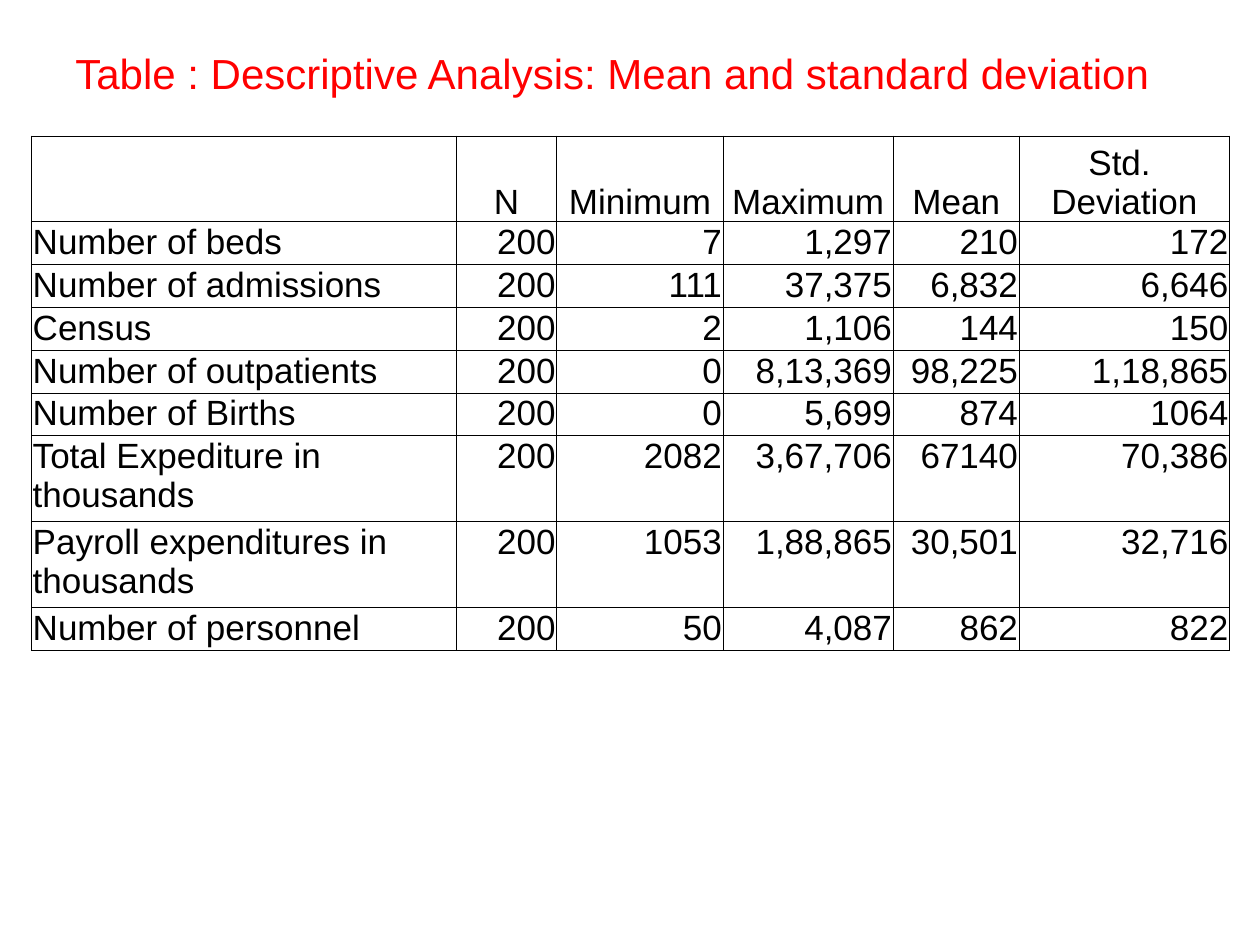
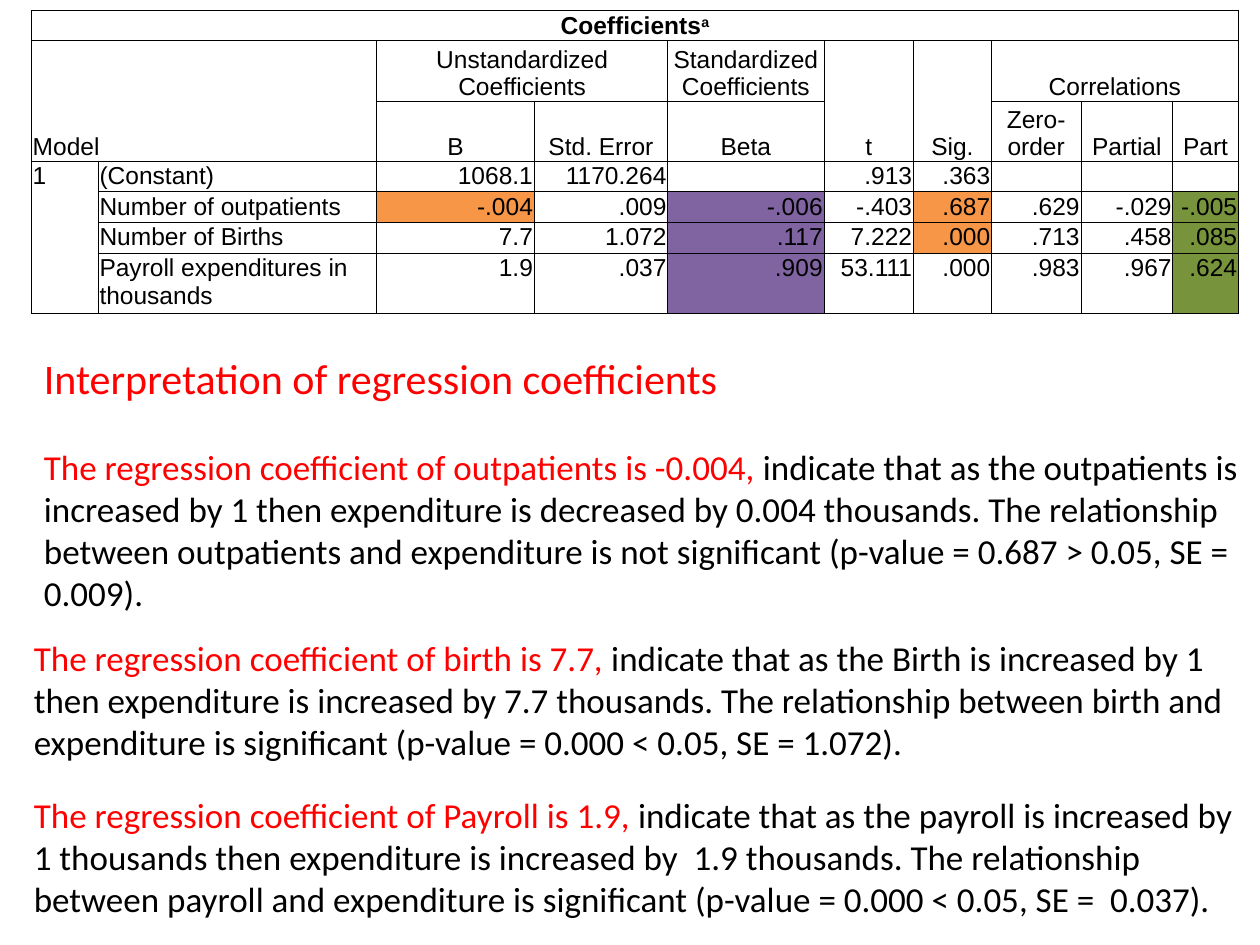
from lxml.etree import SubElement
from pptx import Presentation
from pptx.dml.color import RGBColor
from pptx.enum.text import MSO_ANCHOR, MSO_AUTO_SIZE, PP_ALIGN
from pptx.oxml.ns import qn
from pptx.util import Inches, Pt

RED = RGBColor(0xFF, 0x00, 0x00)
BLACK = RGBColor(0x00, 0x00, 0x00)
ORANGE = RGBColor(0xF7, 0x96, 0x46)
PURPLE = RGBColor(0x80, 0x64, 0xA2)
GREEN = RGBColor(0x77, 0x93, 0x3C)
TABLE_FONT = "Arial"
BODY_FONT = "Calibri"
HEADING_SIZE = 24
BODY_SIZE = 20

SUMMARY_ROWS = [
    ["", "N", "Minimum", "Maximum", "Mean", "Std. \nDeviation"],
    ["Number of beds", "200", "7", "1,297", "210", "172"],
    ["Number of admissions", "200", "111", "37,375", "6,832", "6,646"],
    ["Census", "200", "2", "1,106", "144", "150"],
    ["Number of outpatients", "200", "0", "8,13,369", "98,225", "1,18,865"],
    ["Number of Births", "200", "0", "5,699", "874", "1064"],
    ["Total Expediture in thousands", "200", "2082", "3,67,706", "67140", "70,386"],
    ["Payroll expenditures in thousands", "200", "1053", "1,88,865", "30,501", "32,716"],
    ["Number of personnel", "200", "50", "4,087", "862", "822"],
]
SUMMARY_WIDTHS = [3.37, 0.8, 1.32, 1.35, 1, 1.67]
SUMMARY_HEIGHTS = [0.68] + [0.34] * 5 + [0.68] * 2 + [0.34]

# None stands for a cell covered by a merged one
COEFFICIENT_ROWS = [
    [""] + [None] * 9,
    ["Model", None, "Unstandardized Coefficients", None, "Standardized Coefficients",
     "t", "Sig.", "Correlations", None, None],
    [None, None, "B", "Std. Error", "Beta", None, None, "Zero-order", "Partial", "Part"],
    ["1", "(Constant)", "1068.1", "1170.264", "", ".913", ".363", "", "", ""],
    [None, "Number of outpatients", "-.004", ".009", "-.006", "-.403", ".687",
     ".629", "-.029", "-.005"],
    [None, "Number of Births", "7.7", "1.072", ".117", "7.222", ".000",
     ".713", ".458", ".085"],
    [None, "Payroll expenditures in thousands", "1.9", ".037", ".909", "53.111", ".000",
     ".983", ".967", ".624"],
]
COEFFICIENT_WIDTHS = [0.53, 2.21, 1.25, 1.06, 1.24, 0.71, 0.62, 0.71, 0.73, 0.52]
COEFFICIENT_HEIGHTS = [0.24, 0.47, 0.47, 0.24, 0.24, 0.24, 0.48]
# First and last cell of each merged block, as (row, column)
COEFFICIENT_MERGES = [
    ((0, 0), (0, 9)), ((1, 0), (2, 1)), ((1, 2), (1, 3)), ((1, 5), (2, 5)),
    ((1, 6), (2, 6)), ((1, 7), (1, 9)), ((3, 0), (6, 0)),
]
HIGHLIGHTS = {
    (4, 2): ORANGE, (4, 6): ORANGE, (5, 6): ORANGE,
    **{(row, 4): PURPLE for row in (4, 5, 6)},
    **{(row, 9): GREEN for row in (4, 5, 6)},
}

OUTPATIENTS_NOTE = (
    "The regression coefficient of outpatients is -0.004,",
    " indicate that as the outpatients is increased by 1 then expenditure is decreased "
    "by 0.004 thousands. The relationship between outpatients and expenditure is not "
    "significant (p-value = 0.687 > 0.05, SE = 0.009).")
BIRTH_NOTE = (
    "The regression coefficient of birth is 7.7,",
    " indicate that as the Birth is increased by 1 then expenditure is increased by 7.7 "
    "thousands. The relationship between birth and expenditure is significant "
    "(p-value = 0.000 < 0.05, SE = 1.072).")
PAYROLL_NOTE = (
    "The regression coefficient of Payroll is 1.9,",
    " indicate that as the payroll is increased by 1 thousands then expenditure is "
    "increased by  1.9 thousands. The relationship between payroll and expenditure is "
    "significant (p-value = 0.000 < 0.05, SE =  0.037).")


def add_run(paragraph, text, size, color=BLACK, font=TABLE_FONT, bold=False):
    run = paragraph.add_run()
    run.text = text
    run.font.size = Pt(size)
    run.font.name = font
    run.font.bold = bold
    run.font.color.rgb = color
    return run


def add_text_frame(slide, left, top, width, height):
    frame = slide.shapes.add_textbox(
        Inches(left), Inches(top), Inches(width), Inches(height)).text_frame
    frame.word_wrap = True
    frame.auto_size = MSO_AUTO_SIZE.SHAPE_TO_FIT_TEXT
    return frame


def add_note(paragraph, note):
    """Write a finding in red, followed by its explanation in black."""
    for text, color in zip(note, (RED, BLACK)):
        add_run(paragraph, text, BODY_SIZE, color, BODY_FONT)


def style_cell(cell, fill=None):
    cell.margin_left = cell.margin_right = cell.margin_top = Inches(0.01)
    cell.margin_bottom = 0
    properties = cell._tc.get_or_add_tcPr()
    for side in ("lnL", "lnR", "lnT", "lnB"):
        line = SubElement(properties, qn(f"a:{side}"), w=str(Pt(0.5)))
        line_fill = SubElement(line, qn("a:solidFill"))
        SubElement(line_fill, qn("a:srgbClr"), val=str(BLACK))
    if fill is None:
        cell.fill.background()
    else:
        cell.fill.solid()
        cell.fill.fore_color.rgb = fill


def write_cell(cell, text, size, align, anchor):
    cell.vertical_anchor = anchor
    frame = cell.text_frame
    for index, line in enumerate(text.split("\n")):
        paragraph = frame.add_paragraph() if index else frame.paragraphs[0]
        paragraph.alignment = align
        if line:
            add_run(paragraph, line, size)
        else:
            paragraph._p.get_or_add_endParaRPr().set("sz", str(size * 100))


def add_grid(slide, left, top, rows, widths, heights, size,
             header_rows=1, label_columns=1, merges=(), fills=None):
    """Labels go left, headers centre at the bottom, numbers right."""
    table = slide.shapes.add_table(
        len(rows), len(widths), Inches(left), Inches(top),
        Inches(sum(widths)), Inches(sum(heights))).table
    table.first_row = table.horz_banding = False
    for column, width in zip(table.columns, widths):
        column.width = Inches(width)
    for row, height in zip(table.rows, heights):
        row.height = Inches(height)
    for first, last in merges:
        table.cell(*first).merge(table.cell(*last))
    for r, row in enumerate(rows):
        for c, text in enumerate(row):
            cell = table.cell(r, c)
            style_cell(cell, (fills or {}).get((r, c)))
            is_header = r < header_rows
            if c < label_columns:
                align = PP_ALIGN.LEFT
            else:
                align = PP_ALIGN.CENTER if is_header else PP_ALIGN.RIGHT
            anchor = MSO_ANCHOR.BOTTOM if is_header else MSO_ANCHOR.TOP
            write_cell(cell, text or "", size, align, anchor)
    return table


def build_descriptive_slide(slide):
    add_grid(slide, 0.25, 1.08, SUMMARY_ROWS, SUMMARY_WIDTHS, SUMMARY_HEIGHTS, 20)
    title = add_text_frame(slide, 0.5, 0.33, 9.17, 0.5)
    add_run(title.paragraphs[0], "Table : Descriptive Analysis: Mean and standard deviation",
            HEADING_SIZE, RED)


def build_coefficients_slide(slide):
    # Table with its caption row
    table = add_grid(slide, 0.25, 0.08, COEFFICIENT_ROWS, COEFFICIENT_WIDTHS,
                     COEFFICIENT_HEIGHTS, 14, header_rows=3, label_columns=2,
                     merges=COEFFICIENT_MERGES, fills=HIGHLIGHTS)
    caption_cell = table.cell(0, 0)
    caption_cell.vertical_anchor = MSO_ANCHOR.MIDDLE
    caption = caption_cell.text_frame.paragraphs[0]
    caption.alignment = PP_ALIGN.CENTER
    add_run(caption, "Coefficients", 14, bold=True)
    footnote_mark = add_run(caption, "a", 14, bold=True)
    footnote_mark.font._element.set("baseline", "30000")

    # Heading and first finding
    interpretation = add_text_frame(slide, 0.25, 2.75, 9.75, 2.19)
    add_run(interpretation.paragraphs[0], "Interpretation of regression coefficients",
            HEADING_SIZE, RED, BODY_FONT)
    outpatients = interpretation.add_paragraph()
    outpatients.space_before = Pt(24)
    add_note(outpatients, OUTPATIENTS_NOTE)

    # Remaining findings
    for top, note in ((5, BIRTH_NOTE), (6.25, PAYROLL_NOTE)):
        finding = add_text_frame(slide, 0.17, top, 9.75, 1.11)
        add_note(finding.paragraphs[0], note)


def main():
    deck = Presentation()
    deck.slide_width, deck.slide_height = Inches(10), Inches(7.5)
    blank = deck.slide_layouts[6]
    for build in (build_descriptive_slide, build_coefficients_slide):
        build(deck.slides.add_slide(blank))
    deck.save("out.pptx")


if __name__ == "__main__":
    main()
